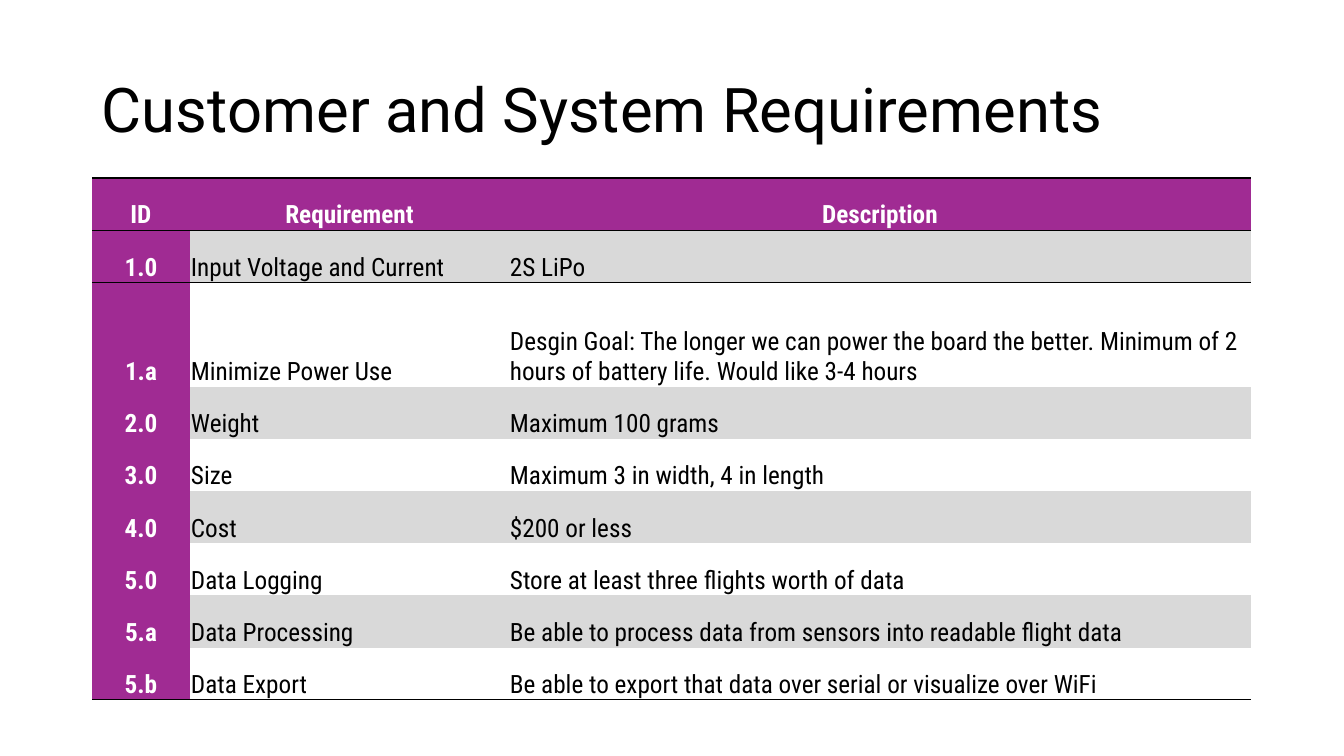
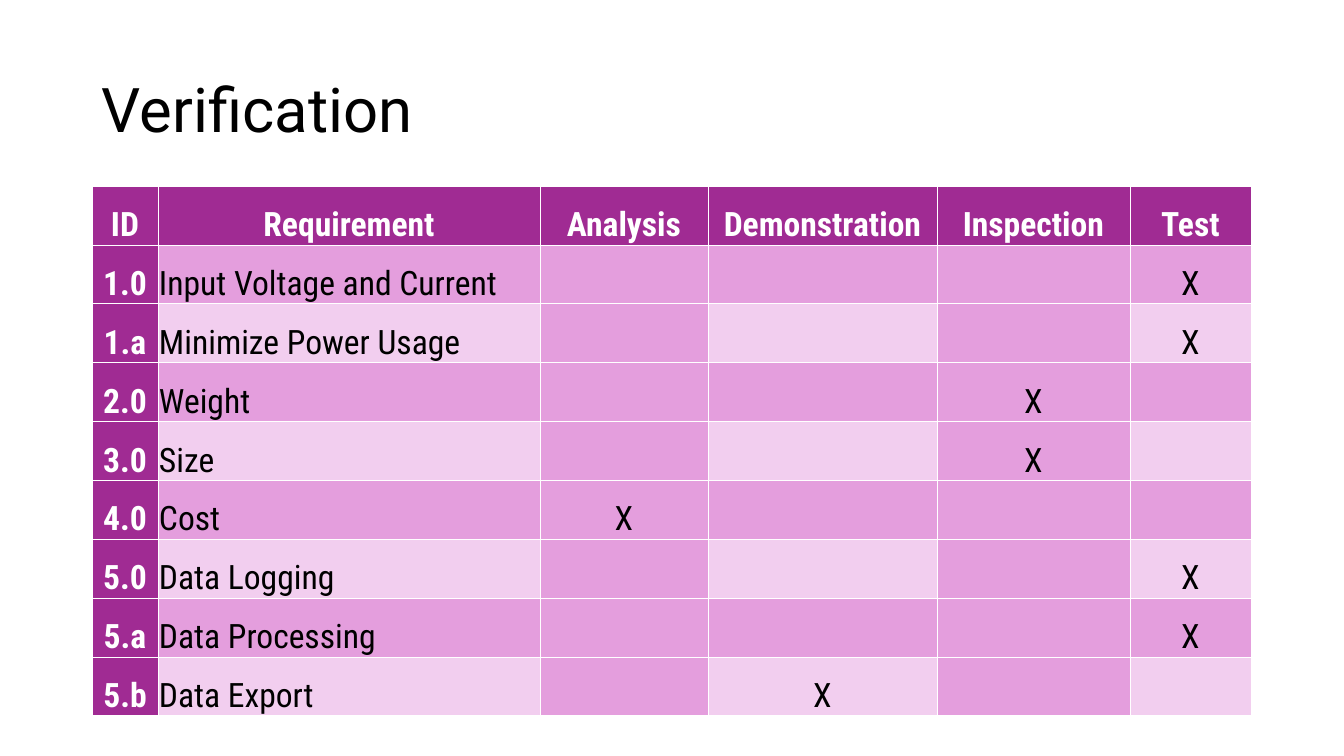
import dataclasses

import pptx
import pptx.dml.color
import pptx.enum.text
import pptx.oxml
import pptx.oxml.ns
import pptx.util

PX = 914400 / 100.8  # EMU in one px
SLIDE_SIZE = (1344, 756)
TITLE_BOX = (92, 40, 1159, 146)
NO_STYLE = "{2D5ABB26-0587-4C30-8999-92F81FD0307C}"
ALIGN = pptx.enum.text.PP_ALIGN
ANCHOR = pptx.enum.text.MSO_ANCHOR


@dataclasses.dataclass(frozen=True)
class Theme:
    ink: str = "000000"
    paper: str = "FFFFFF"
    accent: str = "A02B93"
    accent_mid: str = "E49EDD"
    accent_light: str = "F2CEEF"
    grey: str = "D9D9D9"
    title_font: str = "Roboto"
    table_font: str = "Roboto Condensed"
    title_size: int = 44
    requirement_size: int = 18
    verification_size: int = 24


THEME = Theme()

# Content
REQUIREMENTS = [
    ("ID", "Requirement", "Description"),
    ("1.0", "Input Voltage and Current", "2S LiPo"),
    ("1.a", "Minimize Power Use",
     "Desgin Goal: The longer we can power the board the better. "
     "Minimum of 2 hours of battery life. Would like 3-4 hours"),
    ("2.0", "Weight", "Maximum 100 grams"),
    ("3.0", "Size", "Maximum 3 in width, 4 in length"),
    ("4.0", "Cost", "$200 or less"),
    ("5.0", "Data Logging", "Store at least three flights worth of data"),
    ("5.a", "Data Processing",
     "Be able to process data from sensors into readable flight data"),
    ("5.b", "Data Export",
     "Be able to export that data over serial or visualize over WiFi"),
]
METHODS = ("Analysis", "Demonstration", "Inspection", "Test")
VERIFIED_BY = [
    ("1.0", "Input Voltage and Current", "Test"),
    ("1.a", "Minimize Power Usage", "Test"),
    ("2.0", "Weight", "Inspection"),
    ("3.0", "Size", "Inspection"),
    ("4.0", "Cost", "Analysis"),
    ("5.0", "Data Logging", "Test"),
    ("5.a", "Data Processing", "Test"),
    ("5.b", "Data Export", "Demonstration"),
]


# Helpers
def px(length):
    return pptx.util.Emu(round(length * PX))


def rgb(colour):
    return pptx.dml.color.RGBColor.from_string(colour)


def apply(target, values):
    for name, value in values.items():
        setattr(target, name, value)


def set_font(font, face, size, colour, bold=False):
    apply(font, {"name": face, "size": pptx.util.Pt(size), "bold": bold})
    font.color.rgb = rgb(colour)


def set_border(cell, side, colour, points):
    """Draw one edge of a cell; side is L, R, T or B."""
    line = pptx.oxml.parse_xml(
        f'<a:ln{side} {pptx.oxml.ns.nsdecls("a")} w="{pptx.util.Pt(points)}">'
        f'<a:solidFill><a:srgbClr val="{colour}"/></a:solidFill></a:ln{side}>')
    cell._tc.get_or_add_tcPr().append(line)


# Slide elements
def add_slide(deck, title):
    slide = deck.slides.add_slide(deck.slide_layouts[6])
    frame = slide.shapes.add_textbox(*map(px, TITLE_BOX)).text_frame
    apply(frame, {"word_wrap": True, "vertical_anchor": ANCHOR.MIDDLE})
    heading = frame.paragraphs[0]
    apply(heading, {"text": title, "line_spacing": 0.9})
    set_font(heading.runs[0].font, THEME.title_font, THEME.title_size, THEME.ink)
    return slide


def fill_cell(cell, text, size, heading, centred, fill):
    apply(cell, {"text": text, "vertical_anchor": ANCHOR.BOTTOM,
                 "margin_left": px(1), "margin_right": px(1),
                 "margin_top": px(1), "margin_bottom": 0})
    paragraph = cell.text_frame.paragraphs[0]
    paragraph.alignment = ALIGN.CENTER if centred else ALIGN.LEFT
    set_font(paragraph.font, THEME.table_font, size,
             THEME.paper if heading else THEME.ink, heading)
    for run in paragraph.runs:
        set_font(run.font, THEME.table_font, size,
                 THEME.paper if heading else THEME.ink, heading)
    if fill:
        cell.fill.solid()
        cell.fill.fore_color.rgb = rgb(fill)
    else:
        cell.fill.background()


def add_grid(slide, rows, top, height, widths, row_shares, size,
             body_fill, borders, centred_from):
    """Add a table with accent headings along its top row and first column."""
    box = (TITLE_BOX[0], top, sum(widths), height)
    table = slide.shapes.add_table(
        len(rows), len(widths), *map(px, box)).table
    table.first_col = True
    table._tbl.tblPr.find(pptx.oxml.ns.qn("a:tableStyleId")).text = NO_STYLE
    for column, width in zip(table.columns, widths):
        column.width = px(width)
    for row, share in zip(table.rows, row_shares):
        row.height = px(height * share / sum(row_shares))
    for r, texts in enumerate(rows):
        for c, text in enumerate(texts):
            cell = table.cell(r, c)
            heading = r == 0 or c == 0
            for side, colour, points in borders(r):
                set_border(cell, side, colour, points)
            fill_cell(cell, text, size, heading, heading or c >= centred_from,
                      THEME.accent if heading else body_fill(r, c))


# Table rules
def grey_band(row, column):
    return THEME.grey if row % 2 else None


def accent_band(row, column):
    banded = row % 2 or column % 2 == 0
    return THEME.accent_mid if banded else THEME.accent_light


def ruled_lines(row):
    sides = {0: "TB", 1: "T", len(REQUIREMENTS) - 1: "B"}.get(row, "")
    return [(side, THEME.ink, 1) for side in sides]


def white_lines(row):
    return [(side, THEME.paper, 0.5) for side in "LRTB"]


def verification_rows():
    header = ("ID", "Requirement", *METHODS)
    return [header] + [
        (number, name, *("X" if method == used else "" for method in METHODS))
        for number, name, used in VERIFIED_BY]


def main():
    deck = pptx.Presentation()
    apply(deck, dict(zip(("slide_width", "slide_height"), map(px, SLIDE_SIZE))))

    # Requirements: the third row holds two lines of text
    add_grid(add_slide(deck, "Customer and System Requirements"), REQUIREMENTS,
             top=178, height=522, widths=(98, 319, 742),
             row_shares=(1, 1, 2, 1, 1, 1, 1, 1, 1),
             size=THEME.requirement_size, body_fill=grey_band,
             borders=ruled_lines, centred_from=3)

    # Verification: one mark per requirement
    rows = verification_rows()
    add_grid(add_slide(deck, "Verification"), rows,
             top=186, height=530, widths=(66, 382, 168, 229, 193, 121),
             row_shares=[1] * len(rows),
             size=THEME.verification_size, body_fill=accent_band,
             borders=white_lines, centred_from=2)

    deck.save("out.pptx")


if __name__ == "__main__":
    main()
